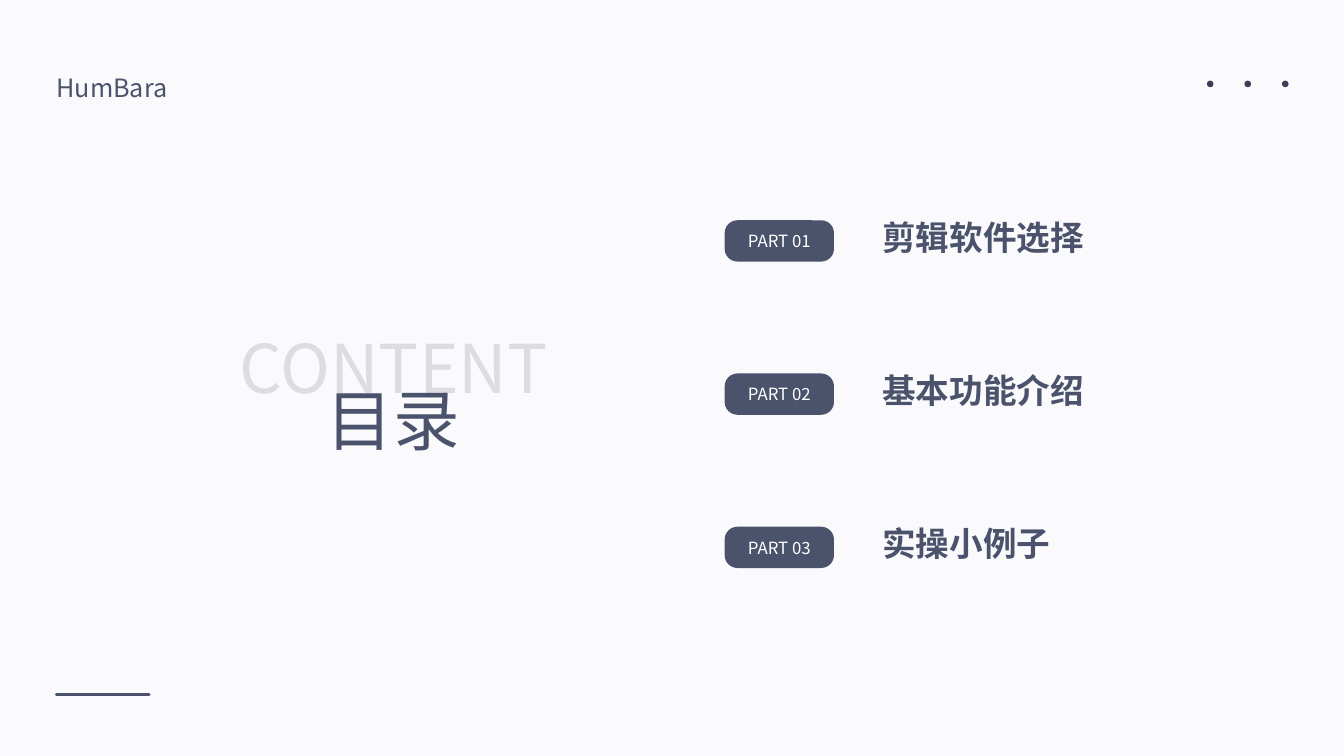
from lxml.etree import SubElement
from pptx import Presentation
from pptx.dml.color import RGBColor
from pptx.enum.shapes import MSO_CONNECTOR, MSO_SHAPE
from pptx.enum.text import MSO_ANCHOR, PP_ALIGN
from pptx.oxml.ns import qn
from pptx.util import Inches, Pt

FONT = "Noto Sans CJK SC"
PAPER = RGBColor(0xFA, 0xFA, 0xFC)
SLATE = RGBColor(0x4B, 0x52, 0x6C)
INK = RGBColor(0x3F, 0x3D, 0x56)
MIST = RGBColor(0xDD, 0xDC, 0xE2)
WHITE = RGBColor(0xFF, 0xFF, 0xFF)

BRAND = "HumBara"
HEADING = "目录"
BACKDROP = "CONTENT"
PARTS = ["剪辑软件选择", "基本功能介绍", "实操小例子"]

PART_TOP, PART_STEP = 4.37, 3.04
DOT_COUNT, DOT_LEFT, DOT_STEP, DOT_SIZE = 3, 23.95, 0.745, 0.13


def inches(*lengths):
    return [Inches(length) for length in lengths]


def write(shape, text, size, color, align=PP_ALIGN.LEFT, bold=False, spacing=1.0, inset=(0, 0)):
    side, edge = inches(*inset)
    frame = shape.text_frame
    frame_format = {
        "word_wrap": True, "vertical_anchor": MSO_ANCHOR.MIDDLE,
        "margin_left": side, "margin_right": side,
        "margin_top": edge, "margin_bottom": edge,
    }
    for key, value in frame_format.items():
        setattr(frame, key, value)
    paragraph = frame.paragraphs[0]
    paragraph.alignment = align
    paragraph.line_spacing = spacing
    run = paragraph.add_run()
    run.text = text
    for key, value in {"name": FONT, "size": Pt(size), "bold": bold}.items():
        setattr(run.font, key, value)
    run.font.color.rgb = color
    SubElement(run.font._element, qn("a:ea"), typeface=FONT)


def add_text(slide, box, text, size, color, **style):
    label = slide.shapes.add_textbox(*inches(*box))
    write(label, text, size, color, **style)
    return label


def add_solid(slide, preset, box, color):
    solid = slide.shapes.add_shape(preset, *inches(*box))
    solid.shadow.inherit = False
    solid.fill.solid()
    solid.fill.fore_color.rgb = color
    solid.line.fill.background()
    return solid


def add_rule(slide, start, end):
    rule = slide.shapes.add_connector(MSO_CONNECTOR.STRAIGHT, *inches(*start, *end))
    rule.line.color.rgb = SLATE
    rule.line.width = Pt(4.5)
    rule.line._get_or_add_ln().set("cap", "rnd")
    SubElement(rule._element.spPr, qn("a:effectLst"))


def main():
    deck = Presentation()
    deck.slide_width, deck.slide_height = inches(26.67, 15)
    slide = deck.slides.add_slide(deck.slide_layouts[5])
    slide.background.fill.solid()
    slide.background.fill.fore_color.rgb = PAPER

    heading = slide.shapes.title
    heading.left, heading.top, heading.width, heading.height = inches(2.28, 7.51, 11.05, 1.6)
    write(heading, HEADING, 95, SLATE, align=PP_ALIGN.CENTER)
    backdrop = add_text(slide, (3.89, 6.47, 7.84, 1.62), BACKDROP, 96, MIST, align=PP_ALIGN.CENTER)
    heading._element.addprevious(backdrop._element)

    for index, part in enumerate(PARTS):
        top = PART_TOP + index * PART_STEP
        badge = add_solid(slide, MSO_SHAPE.ROUNDED_RECTANGLE, (14.38, top, 2.17, 0.82), SLATE)
        badge.adjustments[0] = 0.31
        write(badge, f"PART {index + 1:02}", 24, WHITE, align=PP_ALIGN.CENTER, inset=(0.1, 0.05))
        add_text(slide, (17.51, top + 0.1, 5.3, 0.66), part, 48, SLATE,
                 bold=True, spacing=0.7, inset=(0, 0.05))

    for index in range(DOT_COUNT):
        left = DOT_LEFT + index * DOT_STEP
        add_solid(slide, MSO_SHAPE.OVAL, (left, 1.6, DOT_SIZE, DOT_SIZE), INK)

    add_text(slide, (1.12, 1.43, 2.24, 0.61), BRAND, 36, SLATE)
    add_rule(slide, (1.12, 13.78), (2.96, 13.78))
    deck.save("out.pptx")


if __name__ == "__main__":
    main()
